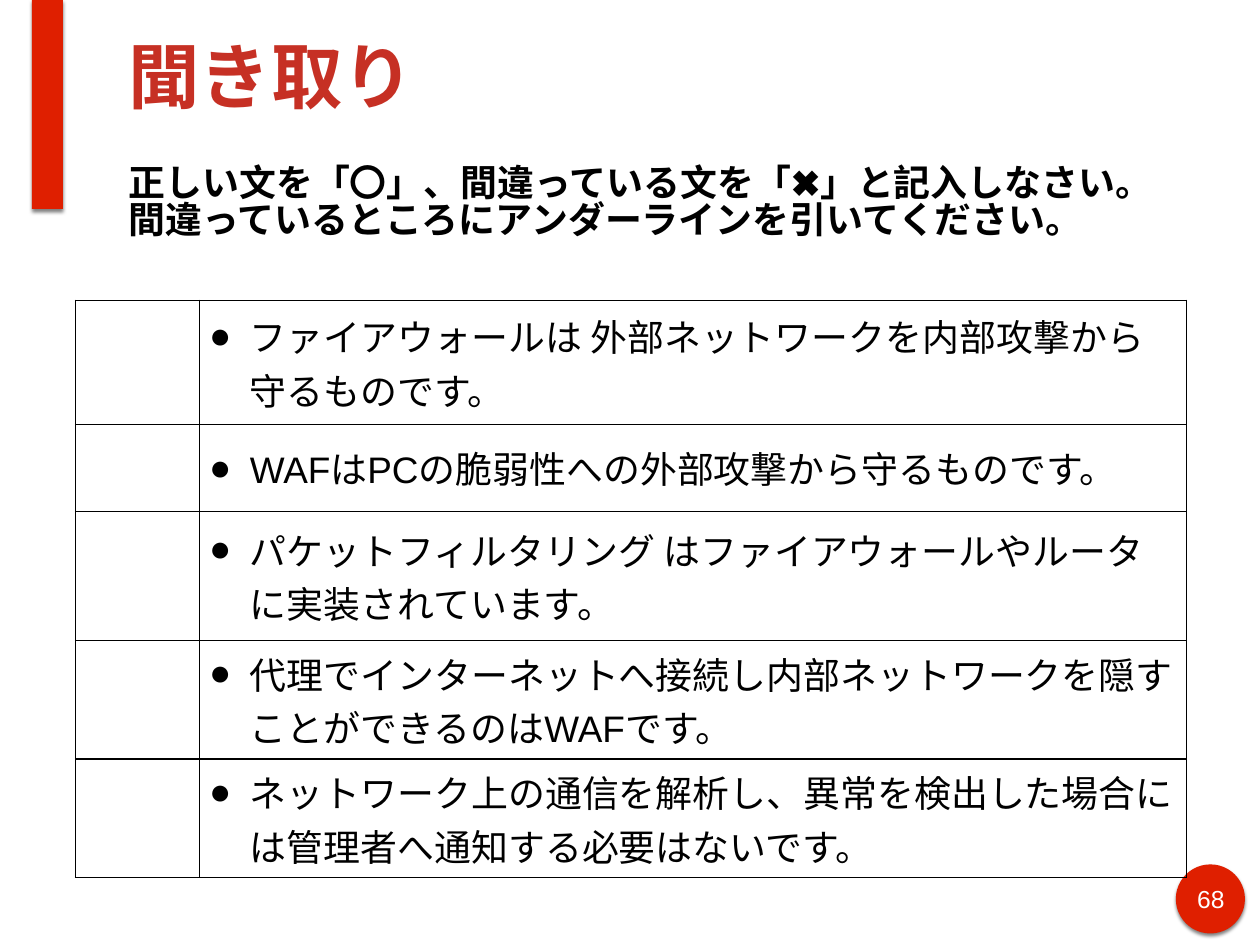
from lxml import etree
from pptx import Presentation
from pptx.dml.color import RGBColor
from pptx.enum import shapes, text
from pptx.oxml import ns
from pptx.util import Inches, Pt

RED = "DF1F00"
STATEMENTS = [
    (1.4, "ファイアウォールは 外部ネットワークを内部攻撃から守るものです。"),
    (0.98, "WAFはPCの脆弱性への外部攻撃から守るものです。"),
    (1.46, "パケットフィルタリング はファイアウォールやルータに実装されています。"),
    (1.34, "代理でインターネットへ接続し内部ネットワークを隠すことができるのはWAFです。"),
    (1.34, "ネットワーク上の通信を解析し、異常を検出した場合には管理者へ通知する必要はないです。"),
]


def colour(value):
    return RGBColor.from_string(value)


def add_child(parent, tag, **attributes):
    return etree.SubElement(parent, ns.qn(tag), attributes)


def style_font(para, size, value, bold=False):
    font = para.font
    font.name = "Arial"
    font.size = Pt(size)
    font.bold = bold
    font.color.rgb = colour(value)


def add_red_shape(page, kind, left, top, width, height):
    shape = page.shapes.add_shape(
        kind, Inches(left), Inches(top), Inches(width), Inches(height))
    shape.fill.solid()
    shape.fill.fore_color.rgb = colour(RED)
    shape.line.fill.background()
    shape.shadow.inherit = False
    effects = shape._element.spPr.find(ns.qn("a:effectLst"))
    shadow = add_child(effects, "a:outerShdw", blurRad=str(Pt(3)),
                       dist=str(Pt(2)), dir="5400000", rotWithShape="0")
    tint = add_child(shadow, "a:srgbClr", val="000000")
    add_child(tint, "a:alpha", val="49000")


def set_margins(frame, margin):
    frame.margin_left = frame.margin_right = Inches(margin)
    frame.margin_top = frame.margin_bottom = Inches(margin)


def add_text(page, lines, left, top, width, height, size, value, bold=False,
             align=text.PP_ALIGN.LEFT, spacing=1.0):
    box = page.shapes.add_textbox(
        Inches(left), Inches(top), Inches(width), Inches(height))
    frame = box.text_frame
    frame.word_wrap = True
    frame.vertical_anchor = text.MSO_ANCHOR.MIDDLE
    set_margins(frame, 0.06)
    para = frame.paragraphs[0]
    para.alignment = align
    para.line_spacing = spacing
    for index, line in enumerate(lines):
        if index:
            para.add_line_break()
        para.add_run().text = line
    style_font(para, size, value, bold)


def style_cell(cell):
    properties = cell._tc.get_or_add_tcPr()
    for side in ("a:lnL", "a:lnR", "a:lnT", "a:lnB"):
        border = add_child(properties, side, w=str(Pt(1)))
        add_child(add_child(border, "a:solidFill"), "a:srgbClr", val="000000")
    cell.fill.background()
    cell.vertical_anchor = text.MSO_ANCHOR.MIDDLE
    for side in ("left", "right", "top", "bottom"):
        setattr(cell, f"margin_{side}", Inches(0.07))


def add_bullet(para):
    properties = para._p.get_or_add_pPr()
    properties.set("marL", str(Inches(0.5)))
    properties.set("indent", str(Inches(-0.46)))
    add_child(add_child(properties, "a:buClr"), "a:srgbClr", val="000000")
    add_child(properties, "a:buFont", typeface="Arial")
    add_child(properties, "a:buChar", char="●")


def add_statements(page):
    widths = (1.4, 11.14)
    heights = [height for height, _ in STATEMENTS]
    table = page.shapes.add_table(
        len(STATEMENTS), len(widths), Inches(0.85), Inches(3.39),
        Inches(sum(widths)), Inches(sum(heights))).table
    table.first_row = False
    table.horz_banding = False
    for column, width in zip(table.columns, widths):
        column.width = Inches(width)
    for row, (height, statement) in zip(table.rows, STATEMENTS):
        row.height = Inches(height)
        for cell in row.cells:
            style_cell(cell)
        para = row.cells[1].text_frame.paragraphs[0]
        para.add_run().text = statement
        add_bullet(para)
        style_font(para, 30, "000000")


def main():
    deck = Presentation()
    deck.slide_width = Inches(14.22)
    deck.slide_height = Inches(10.67)
    page = deck.slides.add_slide(deck.slide_layouts[6])
    add_red_shape(page, shapes.MSO_SHAPE.OVAL, 13.27, 9.76, 0.78, 0.78)
    add_red_shape(page, shapes.MSO_SHAPE.RECTANGLE, 0.36, 0, 0.35, 2.36)
    add_text(page, ["68"], 13.42, 9.95, 0.49, 0.39, 20, "FFFFFF",
             align=text.PP_ALIGN.CENTER)
    add_text(page, ["聞き取り"], 1.39, 0.12, 12.14, 1.45, 58, "C63024", bold=True)
    add_text(page, ["正しい文を「〇」、間違っている文を「✖」と記入しなさい。",
                    "間違っているところにアンダーラインを引いてください。"],
             1.39, 1.33, 12.35, 1.95, 30, "000000", bold=True, spacing=0.82)
    add_statements(page)
    deck.save("out.pptx")


if __name__ == "__main__":
    main()
